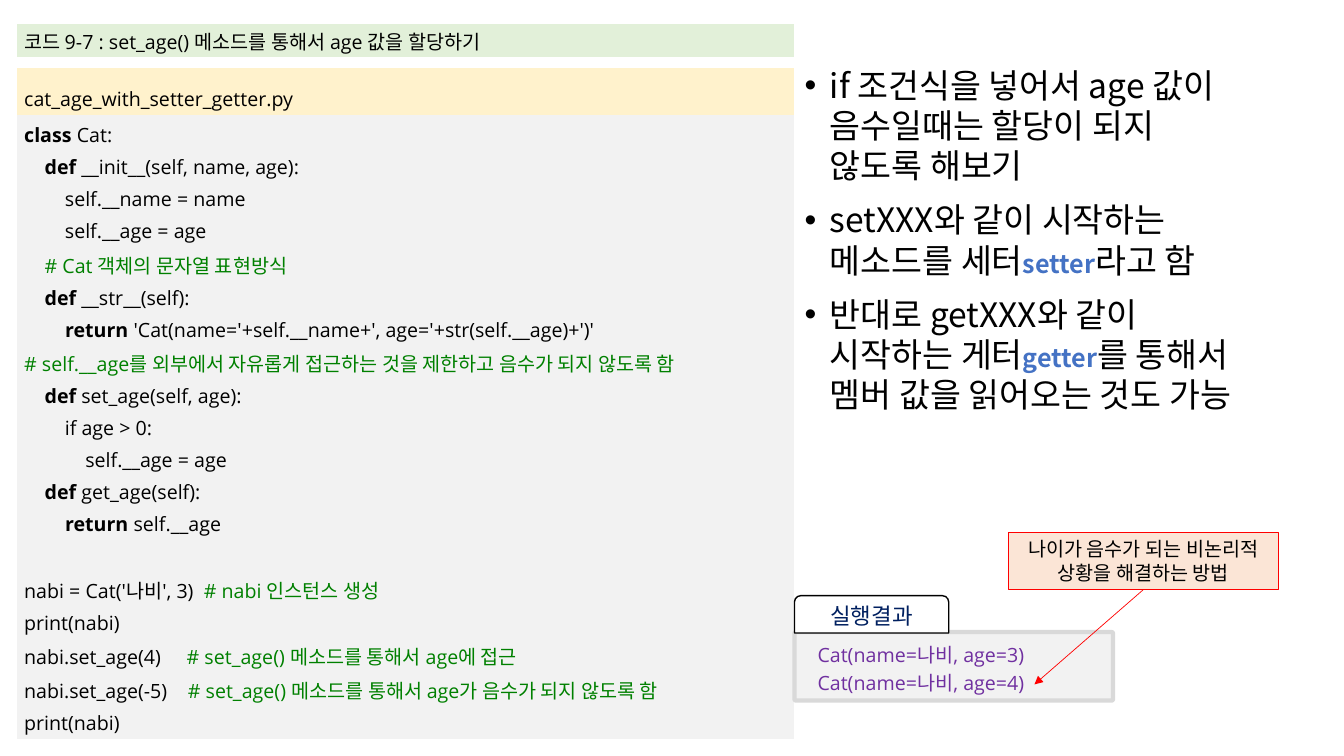
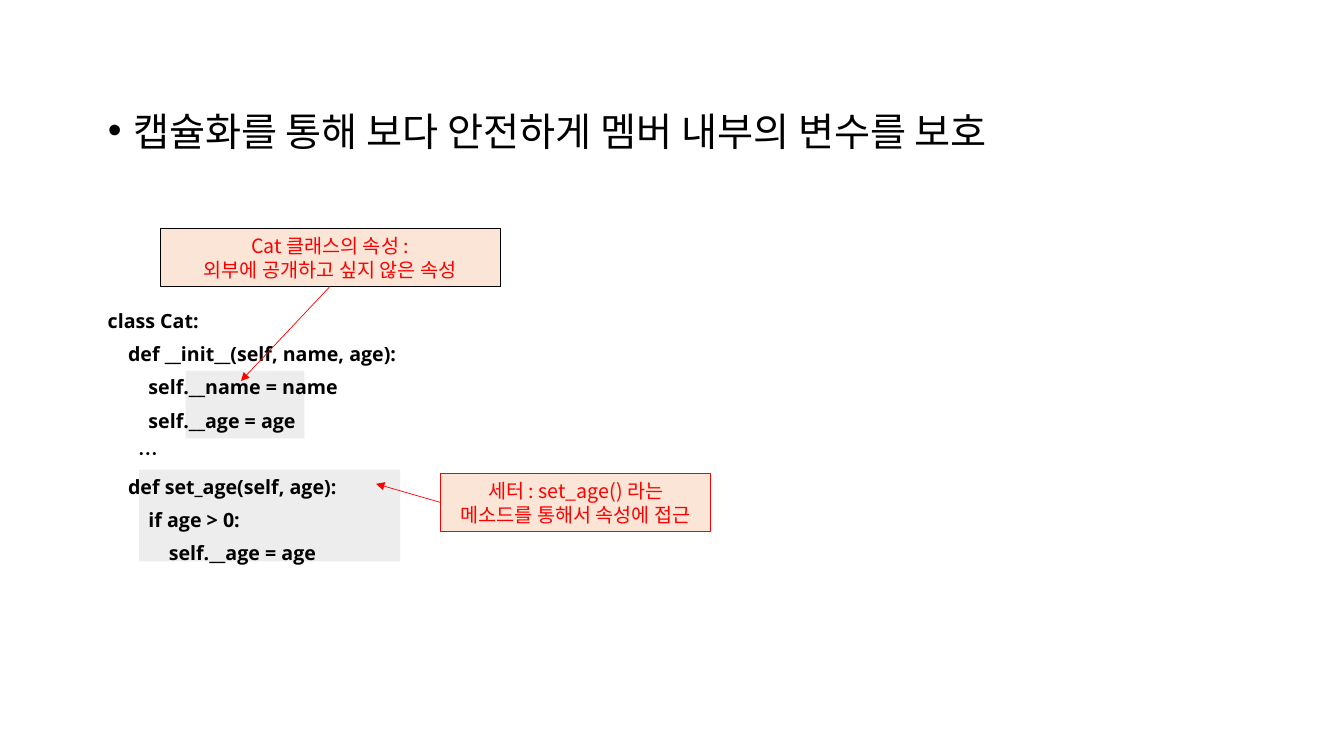
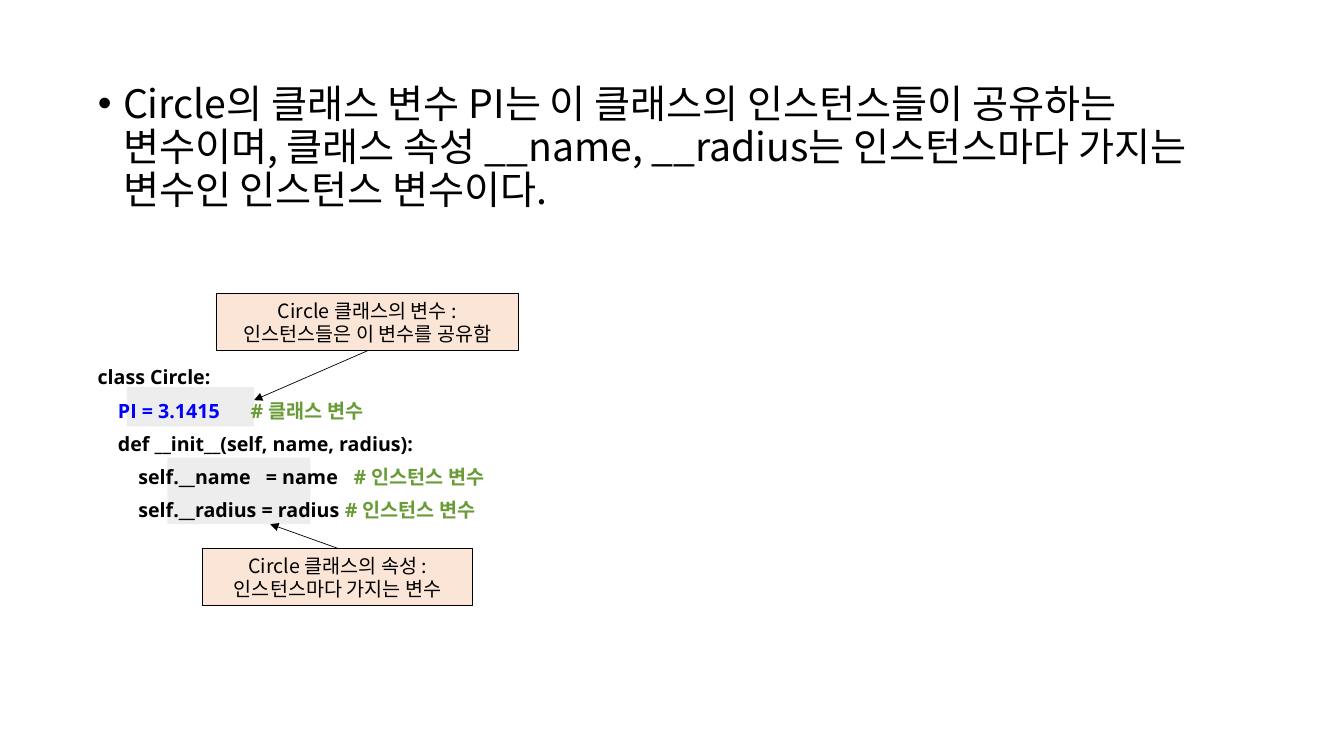
from dataclasses import dataclass

from lxml import etree
from pptx import Presentation
from pptx.dml.color import RGBColor
from pptx.enum.shapes import MSO_CONNECTOR, MSO_SHAPE
from pptx.enum.text import MSO_ANCHOR, MSO_AUTO_SIZE, PP_ALIGN
from pptx.oxml.ns import qn
from pptx.util import Inches, Pt

RECT = MSO_SHAPE.RECTANGLE
ROUNDED = MSO_SHAPE.ROUNDED_RECTANGLE
TAB = MSO_SHAPE.ROUND_2_SAME_RECTANGLE
STRAIGHT = MSO_CONNECTOR.STRAIGHT
CENTER, JUSTIFY = PP_ALIGN.CENTER, PP_ALIGN.JUSTIFY
TOP, MIDDLE = MSO_ANCHOR.TOP, MSO_ANCHOR.MIDDLE
SITE_TOP, SITE_LEFT, SITE_BOTTOM = 0, 1, 2
NO_GRID = "{2D5ABB26-0587-4C30-8999-92F81FD0307C}"
KEYWORDS = ("class", "def", "return")


@dataclass(frozen=True)
class Theme:
    sans: str = "Noto Sans CJK KR"
    code: str = "Open Sans"
    black: str = "000000"
    white: str = "FFFFFF"
    red: str = "FF0000"
    blue: str = "0000FF"
    accent: str = "4472C4"
    navy: str = "002060"
    purple: str = "7030A0"
    comment: str = "008000"
    remark: str = "699B37"
    peach: str = "FBE5D6"
    highlight: str = "EDEDED"
    panel: str = "F2F2F2"
    panel_line: str = "D9D9D9"
    caption: str = "E2F0D9"
    file_band: str = "FFF2CC"
    small: int = 14
    label: int = 16
    term: int = 18
    list_size: int = 24
    lead: int = 28


T = Theme()
TERM = {"size": T.term, "color": T.accent, "bold": True}
REMARK = {"color": T.remark}
REMARK_KO = {"color": T.remark, "name": T.sans}

CODE_LINES = [
    "class Cat:",
    "    def __init__(self, name, age):",
    "        self.__name = name",
    "        self.__age = age",
    "    # Cat 객체의 문자열 표현방식",
    "    def __str__(self):",
    "        return 'Cat(name='+self.__name+', age='+str(self.__age)+')'",
    "# self.__age를 외부에서 자유롭게 접근하는 것을 제한하고 음수가 되지 않도록 함",
    "    def set_age(self, age): ",
    "        if age > 0:",
    "            self.__age = age",
    "    def get_age(self):",
    "        return self.__age",
]
USAGE_LINES = [
    "nabi = Cat('나비', 3)  # nabi 인스턴스 생성",
    "print(nabi)",
    "nabi.set_age(4)     # set_age() 메소드를 통해서 age에 접근",
    "nabi.set_age(-5)    # set_age() 메소드를 통해서 age가 음수가 되지 않도록 함",
    "print(nabi)",
]


def style_run(r, size, color, name, bold=False):
    for key, value in {"size": Pt(size), "name": name, "bold": bold}.items():
        setattr(r.font, key, value)
    r.font.color.rgb = RGBColor.from_string(color)
    ea = etree.SubElement(r.font._element, qn("a:ea"))
    ea.set("typeface", T.sans)


def write(tf, paragraphs, font, **layout):
    for i, runs in enumerate(paragraphs):
        p = tf.paragraphs[0] if i == 0 else tf.add_paragraph()
        for key, value in layout.items():
            setattr(p, key, value)
        for run in [runs] if isinstance(runs, str) else runs:
            text, change = (run, {}) if isinstance(run, str) else run
            r = p.add_run()
            r.text = text
            style_run(r, **{**font, **change})


def base(size=T.small, color=T.black, name=T.sans, bold=False):
    return {"size": size, "color": color, "name": name, "bold": bold}


def highlight_code(line):
    code, mark, note = line.partition("#")
    body = code.lstrip(" ")
    indent = code[:len(code) - len(body)]
    word, space, rest = body.partition(" ")
    if word in KEYWORDS:
        runs = [indent, (word, {"bold": True}), space + rest]
    else:
        runs = [code]
    return [run for run in runs + [(mark + note, {"color": T.comment})]
            if run and run[0]]


def box(at):
    return [Inches(v) for v in at]


def add_list(s, at, items, size, spacing):
    s.shapes.title._element.getparent().remove(s.shapes.title._element)
    body = s.placeholders[1]
    for key, value in zip(("left", "top", "width", "height"), box(at)):
        setattr(body, key, value)
    tf = body.text_frame
    tf.auto_size = MSO_AUTO_SIZE.NONE
    tf.vertical_anchor = TOP
    write(tf, items, base(size), space_before=Pt(10), line_spacing=Pt(spacing))
    for p in tf.paragraphs:
        pPr = p._p.get_or_add_pPr()
        pPr.set("marL", str(Inches(0.25)))
        pPr.set("indent", str(Inches(-0.25)))


def add_box(s, at, fill, line=None, width=0.75, kind=RECT, corners=()):
    sp = s.shapes.add_shape(kind, *box(at))
    sp.shadow.inherit = False
    sp.fill.solid()
    sp.fill.fore_color.rgb = RGBColor.from_string(fill)
    if line:
        sp.line.color.rgb = RGBColor.from_string(line)
        sp.line.width = Pt(width)
    else:
        sp.line.fill.background()
    for i, value in enumerate(corners):
        sp.adjustments[i] = value
    return sp


def add_callout(s, at, lines, line=T.black, color=T.black):
    sp = add_box(s, at, T.peach, line)
    sp.text_frame.word_wrap = True
    sp.text_frame.vertical_anchor = MIDDLE
    write(sp.text_frame, lines, base(color=color),
          alignment=CENTER, line_spacing=Pt(17))
    return sp


def add_arrow(s, callout, site, end, color=T.black):
    x, y = box(end)
    cx = s.shapes.add_connector(STRAIGHT, x, y, x, y)
    cx.begin_connect(callout, site)
    cx.line.color.rgb = RGBColor.from_string(color)
    cx.line.width = Pt(0.5)
    tail = etree.SubElement(cx.line._get_or_add_ln(), qn("a:tailEnd"))
    tail.set("type", "triangle")
    etree.SubElement(cx._element.spPr, qn("a:effectLst"))


def add_code(s, at, lines, spacing, color=T.black, bold=True):
    tf = s.shapes.add_textbox(*box(at)).text_frame
    tf.word_wrap = True
    write(tf, lines, base(color=color, name=T.code, bold=bold),
          alignment=JUSTIFY, line_spacing=Pt(spacing))


def add_listing(s, at, caption, file_name, lines, usage):
    code = [highlight_code(line) for line in lines + usage]
    rows = [
        (0.31, T.caption, [caption], {}),
        (0.11, None, [], {}),
        (0.43, T.file_band, [file_name],
         {"alignment": JUSTIFY, "line_spacing": 1.6}),
        (5.34, T.panel, code, {"alignment": JUSTIFY, "line_spacing": 1.2}),
    ]
    table = s.shapes.add_table(len(rows), 1, *box(at)).table
    table.first_row = table.horz_banding = False
    table._tbl.tblPr.find(qn("a:tableStyleId")).text = NO_GRID
    for i, (height, fill, paragraphs, layout) in enumerate(rows):
        table.rows[i].height = Inches(height)
        cell = table.cell(i, 0)
        cell.vertical_anchor = MIDDLE
        cell.margin_left = cell.margin_right = Inches(0.07)
        cell.margin_top = cell.margin_bottom = Inches(0.02 if fill else 0)
        if fill:
            cell.fill.solid()
            cell.fill.fore_color.rgb = RGBColor.from_string(fill)
            write(cell.text_frame, paragraphs, base(name=T.code), **layout)
        else:
            cell.fill.background()
            end = etree.SubElement(cell.text_frame.paragraphs[0]._p,
                                   qn("a:endParaRPr"))
            end.set("sz", "400")
    first_usage = table.cell(3, 0).text_frame.paragraphs[len(lines)]
    first_usage.space_before = Pt(23)


def add_result(s, lines):
    add_box(s, (7.88, 6.27, 3.16, 0.68), T.panel, T.panel_line, 3,
            ROUNDED, (0.02,))
    tab = add_box(s, (7.88, 5.91, 1.53, 0.37), T.white, T.black, 1,
                  TAB, (0.17, 0))
    tab.text_frame.vertical_anchor = MIDDLE
    write(tab.text_frame, ["실행결과"], base(T.label, T.navy),
          alignment=CENTER, line_spacing=Pt(19))
    add_code(s, (8.01, 6.28, 2.39, 0.67), lines, 20, T.purple, False)


def setter_slide(s):
    add_list(s, (7.88, 0.6, 4.52, 6.19), [
        "if 조건식을 넣어서 age 값이 음수일때는 할당이 되지 않도록 해보기",
        ["setXXX와 같이 시작하는 메소드를 세터", ("setter", TERM), "라고 함"],
        ["반대로 getXXX와 같이 시작하는 게터", ("getter", TERM),
         "를 통해서 멤버 값을 읽어오는 것도 가능"],
    ], T.list_size, 28.6)
    add_listing(s, (0.17, 0.24, 7.71, 6.19),
                "코드 9-7 : set_age() 메소드를 통해서 age 값을 할당하기",
                "cat_age_with_setter_getter.py", CODE_LINES, USAGE_LINES)
    add_result(s, [f"Cat(name=나비, age={age})" for age in (3, 4)])
    solution = add_callout(s, (10, 5.28, 2.68, 0.57),
                           ["나이가 음수가 되는 비논리적 상황을 해결하는 방법"], T.red)
    add_arrow(s, solution, SITE_BOTTOM, (10.26, 6.79), T.red)


def encapsulation_slide(s):
    add_list(s, (0.97, 1.05, 11.5, 4.76),
             ["캡슐화를 통해 보다 안전하게 멤버 내부의 변수를 보호"], T.lead, 30.7)
    for at in ((1.38, 4.66, 2.59, 0.91), (1.84, 3.68, 1.18, 0.67)):
        add_box(s, at, T.highlight)
    add_code(s, (0.97, 2.92, 5.67, 2.74), [
        "class Cat:",
        "    def __init__(self, name, age):",
        "        self.__name = name",
        "        self.__age = age",
        [("       …", {"name": T.sans})],
        "    def set_age(self, age): ",
        "        if age > 0:",
        "            self.__age = age ",
    ], 23.7)
    attributes = add_callout(
        s, (1.59, 2.27, 3.37, 0.57),
        ["Cat 클래스의 속성 :", "외부에 공개하고 싶지 않은 속성"], color=T.red)
    setter = add_callout(
        s, (4.37, 4.7, 2.68, 0.57),
        ["세터 : set_age() 라는 메소드를 통해서 속성에 접근"], T.red, T.red)
    add_arrow(s, attributes, SITE_BOTTOM, (2.39, 3.78), T.red)
    add_arrow(s, setter, SITE_LEFT, (3.73, 4.8), T.red)


def variables_slide(s):
    add_list(s, (0.87, 0.78, 11.5, 4.76), [
        "Circle의 클래스 변수 PI는 이 클래스의 인스턴스들이 공유하는 변수이며, "
        "클래스 속성 __name, __radius는 인스턴스마다 가지는 변수인 인스턴스 변수이다.",
    ], T.lead, 30.7)
    for at in ((1.26, 3.84, 1.26, 0.39), (1.66, 4.54, 1.42, 0.66)):
        add_box(s, at, T.highlight)
    instance_note = [("# ", REMARK), ("인스턴스 변수", REMARK_KO)]
    add_code(s, (0.87, 3.48, 5.67, 1.75), [
        "class Circle:",
        [("    PI = 3.1415      ", {"color": T.blue}),
         ("# ", REMARK), ("클래스 변수", REMARK_KO)],
        "    def __init__(self, name, radius):",
        ["        self.__name   = name   ", *instance_note],
        ["        self.__radius = radius ", *instance_note],
    ], 23.7)
    shared = add_callout(s, (2.15, 2.91, 2.99, 0.57),
                         ["Circle 클래스의 변수 :", "인스턴스들은 이 변수를 공유함"])
    owned = add_callout(s, (2.01, 5.44, 2.68, 0.57),
                        ["Circle 클래스의 속성 :", "인스턴스마다 가지는 변수"])
    add_arrow(s, shared, SITE_BOTTOM, (2.52, 3.97))
    add_arrow(s, owned, SITE_TOP, (2.68, 5.2))


def main():
    prs = Presentation()
    prs.slide_width, prs.slide_height = Inches(13.33), Inches(7.5)
    for build in (setter_slide, encapsulation_slide, variables_slide):
        build(prs.slides.add_slide(prs.slide_layouts[1]))
    prs.save("out.pptx")


if __name__ == "__main__":
    main()
